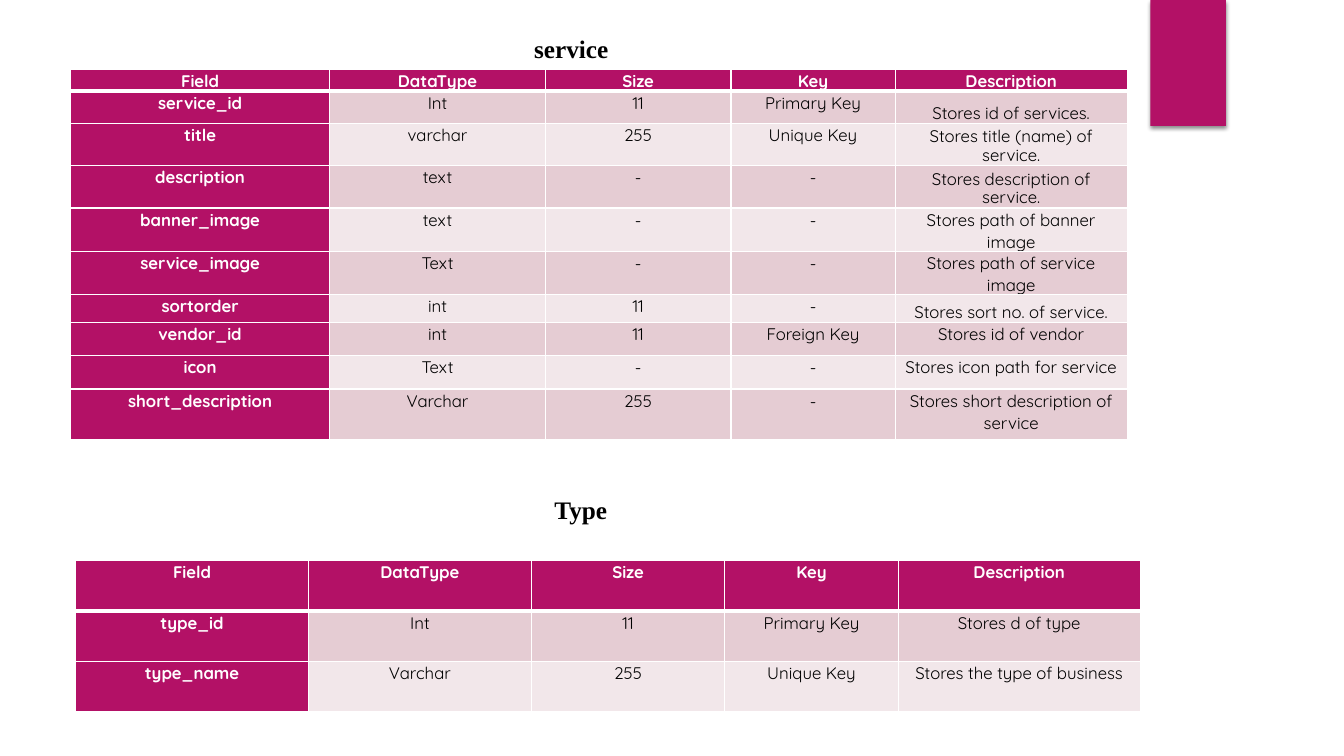
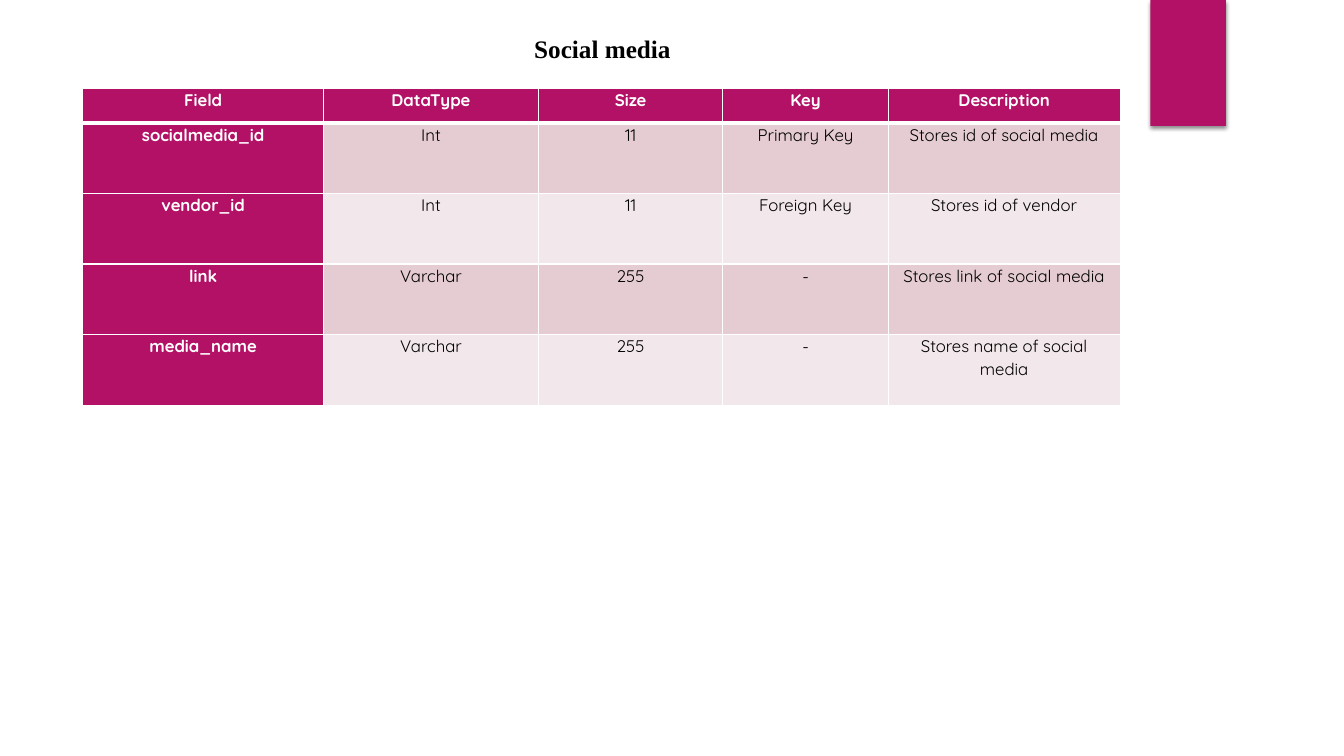
from lxml import etree
from pptx import Presentation
from pptx.dml.color import RGBColor
from pptx.enum.shapes import MSO_SHAPE
from pptx.enum.text import MSO_ANCHOR, PP_ALIGN
from pptx.oxml import parse_xml
from pptx.oxml.ns import nsdecls, qn
from pptx.util import Inches, Pt

RECTANGLE = MSO_SHAPE.RECTANGLE
CENTER = PP_ALIGN.CENTER
TOP, BOTTOM = MSO_ANCHOR.TOP, MSO_ANCHOR.BOTTOM

ACCENT, WHITE, BLACK = "B31166", "FFFFFF", "000000"
BANDS = ("E5CCD3", "F2E7EA")
TITLE_FONT, TABLE_FONT = "Times New Roman", "Quicksand"
LINE_SPACING = 1.07
HEADER = ("Field", "DataType", "Size", "Key", "Description")

# Content: a sixth value in a row is the exact leading, in points,
# of a description that sits at the bottom of its cell
SERVICE = {
    "title": "service", "title_at": (5.2, 0.28, 3, 0.4),
    "table_at": (0.7, 0.69),
    "columns": (2.57, 2.14, 1.84, 1.63, 2.3),
    "heights": (0.2, 0.32, 0.42, 0.42, 0.42, 0.42, 0.28, 0.33, 0.33, 0.5),
    "rows": [
        ("service_id", "Int", "11", "Primary Key", "Stores id of services.", 12.4),
        ("title", "varchar", "255", "Unique Key", "Stores title (name) of service.", 13.2),
        ("description", "text", "-", "-", "Stores description of service.", 13.3),
        ("banner_image", "text", "-", "-", "Stores path of banner image"),
        ("service_image", "Text", "-", "-", "Stores path of service image"),
        ("sortorder", "int", "11", "-", "Stores sort no. of service.", 13.2),
        ("vendor_id", "int", "11", "Foreign Key", "Stores id of vendor"),
        ("icon", "Text", "-", "-", "Stores icon path for service"),
        ("short_description", "Varchar", "255", "-", "Stores short description of service"),
    ],
}
TYPE = {
    "title": "Type", "title_at": (5.4, 4.86, 0.73, 0.4),
    "table_at": (0.75, 5.56),
    "columns": (2.31, 2.21, 1.92, 1.72, 2.4),
    "heights": (0.5,) * 3,
    "rows": [
        ("type_id", "Int", "11", "Primary Key", "Stores d of type"),
        ("type_name", "Varchar", "255", "Unique Key", "Stores the type of business"),
    ],
}
SOCIAL_MEDIA = {
    "title": "Social media", "title_at": (5.2, 0.28, 3, 0.4),
    "table_at": (0.82, 0.88),
    "columns": (2.39, 2.13, 1.83, 1.64, 2.3),
    "heights": (0.34,) + (0.7,) * 4,
    "rows": [
        ("socialmedia_id", "Int", "11", "Primary Key", "Stores id of social media"),
        ("vendor_id", "Int", "11", "Foreign Key", "Stores id of vendor"),
        ("link", "Varchar", "255", "-", "Stores link of social media"),
        ("media_name", "Varchar", "255", "-", "Stores name of social media"),
    ],
}
SLIDES = [(SERVICE, TYPE), (SOCIAL_MEDIA,)]


def rgb(value):
    return RGBColor.from_string(value)


def add_run(paragraph, text, font, size, color, bold):
    run = paragraph.add_run()
    run.text = text
    run.font.name = font
    run.font.size = Pt(size)
    run.font.color.rgb = rgb(color)
    run.font.bold = bold


def add_corner_band(slide, layout):
    """Draw the corner band and move it to the layout that all slides share."""
    band = slide.shapes.add_shape(RECTANGLE, Inches(11.41), 0, Inches(0.75), Inches(1.25))
    band.fill.solid()
    band.fill.fore_color.rgb = rgb(ACCENT)
    band.line.fill.background()
    band.element.spPr.append(parse_xml(
        f'<a:effectLst {nsdecls("a")}><a:outerShdw blurRad="{Pt(3)}" dist="{Pt(2)}" '
        f'dir="5400000" algn="ctr" rotWithShape="0"><a:srgbClr val="{BLACK}">'
        '<a:alpha val="45000"/></a:srgbClr></a:outerShdw></a:effectLst>'))
    layout.shapes.element.append(band.element)


def add_title(slide, text, at):
    frame = slide.shapes.add_textbox(*map(Inches, at)).text_frame
    frame.word_wrap = True
    add_run(frame.paragraphs[0], text, TITLE_FONT, 18, BLACK, True)


def set_borders(cell, widths):
    properties = cell._tc.get_or_add_tcPr()
    for side, width in widths.items():
        line = etree.SubElement(properties, qn(f"a:ln{side}"), w=str(Pt(width)))
        fill = etree.SubElement(line, qn("a:solidFill"))
        etree.SubElement(fill, qn("a:srgbClr"), val=WHITE)


def fill_cell(cell, text, row, column, leading):
    strong = row == 0 or column == 0
    set_borders(cell, {"L": 1, "R": 1, "T": 3 if row == 1 else 1, "B": 3 if row == 0 else 1})
    cell.fill.solid()
    cell.fill.fore_color.rgb = rgb(ACCENT if strong else BANDS[(row - 1) % 2])
    cell.margin_left = cell.margin_right = Inches(0.07)
    cell.margin_top = cell.margin_bottom = 0
    cell.vertical_anchor = BOTTOM if leading else TOP
    paragraph = cell.text_frame.paragraphs[0]
    paragraph.alignment = CENTER
    paragraph.line_spacing = Pt(leading) if leading else LINE_SPACING
    add_run(paragraph, text, TABLE_FONT, 12, WHITE if strong else BLACK, strong)


def add_field_table(slide, content):
    columns, heights = content["columns"], content["heights"]
    table = slide.shapes.add_table(
        len(heights), len(columns), *map(Inches, content["table_at"]),
        Inches(sum(columns)), Inches(sum(heights))).table
    table.horz_banding = False
    for column, width in zip(table.columns, columns):
        column.width = Inches(width)
    for row, height in zip(table.rows, heights):
        row.height = Inches(height)
    for r, (*texts, description) in enumerate(
            (values[:5] for values in [HEADER] + content["rows"])):
        extra = content["rows"][r - 1][5:] if r else ()
        for c, text in enumerate(texts + [description]):
            leading = extra[0] if extra and c == len(texts) else None
            fill_cell(table.cell(r, c), text, r, c, leading)


def main():
    presentation = Presentation()
    presentation.slide_width, presentation.slide_height = Inches(13.33), Inches(7.5)
    layout = presentation.slide_layouts[6]
    for placeholder in list(layout.placeholders):
        layout.shapes.element.remove(placeholder.element)

    for number, parts in enumerate(SLIDES):
        slide = presentation.slides.add_slide(layout)
        if number == 0:
            add_corner_band(slide, layout)
        for part in parts:
            add_title(slide, part["title"], part["title_at"])
            add_field_table(slide, part)
    presentation.save("out.pptx")


if __name__ == "__main__":
    main()
